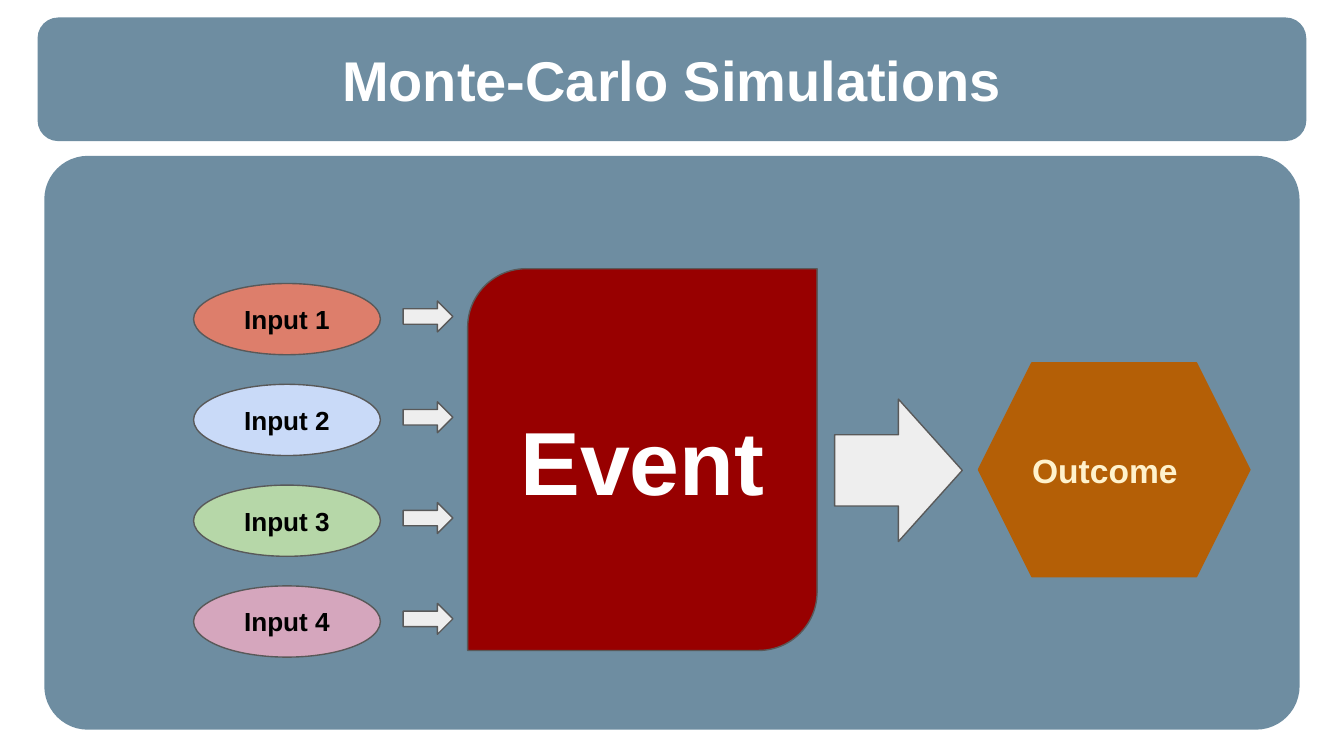
import pptx
import pptx.util
import pptx.dml.color
import pptx.enum.shapes
import pptx.enum.text
import lxml.etree

Inches = pptx.util.Inches
Pt = pptx.util.Pt
Shape = pptx.enum.shapes.MSO_SHAPE
Align = pptx.enum.text.PP_ALIGN

WIDTH = 10
HEIGHT = WIDTH * 9 / 16
TITLE = "Monte-Carlo Simulations"
COLOURS = {
    "panel": "215170", "event": "980000", "outcome": "B45F06",
    "arrow": "EEEEEE", "outline": "595959", "white": "FFFFFF",
    "black": "000000", "cream": "FFF2CC",
}
INPUTS = [
    ("Input 1", "DD7E6B"),
    ("Input 2", "C9DAF8"),
    ("Input 3", "B6D7A8"),
    ("Input 4", "D5A6BD"),
]
PANELS = [(0.13, 9.44, 0.92, 0.167), (1.16, 9.34, 4.27, 0.076)]
FIRST_ROW, ROW_STEP = 2.11, 0.75
ARROW_DROP = 0.13


def rgb(value):
    return pptx.dml.color.RGBColor.from_string(value)


def add_shape(page, kind, place, fill, line=None, adjustments=()):
    shape = page.shapes.add_shape(kind, *map(Inches, place))
    shape.shadow.inherit = False
    shape.fill.solid()
    shape.fill.fore_color.rgb = rgb(fill)
    if line:
        shape.line.color.rgb = rgb(line)
        shape.line.width = Pt(0.75)
    else:
        shape.line.fill.background()
    for index, value in enumerate(adjustments):
        shape.adjustments[index] = value
    return shape


def write(shape, text, size, colour, align=Align.CENTER):
    frame = shape.text_frame
    frame.text = text
    frame.word_wrap = True
    frame.auto_size = pptx.enum.text.MSO_AUTO_SIZE.NONE
    frame.vertical_anchor = pptx.enum.text.MSO_ANCHOR.MIDDLE
    frame.margin_left = frame.margin_right = Inches(0.1)
    frame.margin_top = frame.margin_bottom = Inches(0.1)
    para = frame.paragraphs[0]
    para.alignment = align
    font = para.runs[0].font
    font.name, font.size, font.bold = "Arial", Pt(size), True
    font.color.rgb = rgb(colour)


def set_opacity(shape, percent):
    colour = shape.element.spPr.find(".//" + pptx.oxml.ns.qn("a:srgbClr"))
    alpha = lxml.etree.SubElement(colour, pptx.oxml.ns.qn("a:alpha"))
    alpha.set("val", str(percent * 1000))


def add_panels(page):
    for top, width, height, corner in PANELS:
        place = ((WIDTH - width) / 2, top, width, height)
        panel = add_shape(page, Shape.ROUNDED_RECTANGLE, place,
                          COLOURS["panel"], adjustments=[corner])
        set_opacity(panel, 65)


def add_title(page):
    title = page.shapes.title
    page.shapes.element.append(title.element)
    title.left, title.top = Inches(0.33), Inches(0.29)
    title.width, title.height = Inches(9.34), Inches(0.6)
    write(title, TITLE, 30, COLOURS["white"])


def add_arrow(page, place):
    add_shape(page, Shape.RIGHT_ARROW, place, COLOURS["arrow"], COLOURS["outline"])


def add_flow(page):
    event = add_shape(page, Shape.ROUND_2_DIAG_RECTANGLE, (3.48, 2, 2.6, 2.84),
                      COLOURS["event"], COLOURS["outline"], [0.167, 0])
    write(event, "Event", 48, COLOURS["white"])
    for row, (label, fill) in enumerate(INPUTS):
        top = FIRST_ROW + row * ROW_STEP
        oval = add_shape(page, Shape.OVAL, (1.44, top, 1.39, 0.53),
                         fill, COLOURS["outline"])
        write(oval, label, 14, COLOURS["black"])
        add_arrow(page, (3, top + ARROW_DROP, 0.37, 0.23))
    add_arrow(page, (6.21, 2.97, 0.95, 1.06))
    outcome = add_shape(page, Shape.HEXAGON, (7.28, 2.7, 2.02, 1.59),
                        COLOURS["outcome"], COLOURS["outcome"], [0.25, 1.155])
    write(outcome, "Outcome", 18, COLOURS["cream"], Align.LEFT)


def main():
    deck = pptx.Presentation()
    deck.slide_width, deck.slide_height = Inches(WIDTH), Inches(HEIGHT)
    page = deck.slides.add_slide(deck.slide_layouts[5])
    add_panels(page)
    add_title(page)
    add_flow(page)
    deck.save("out.pptx")


if __name__ == "__main__":
    main()
